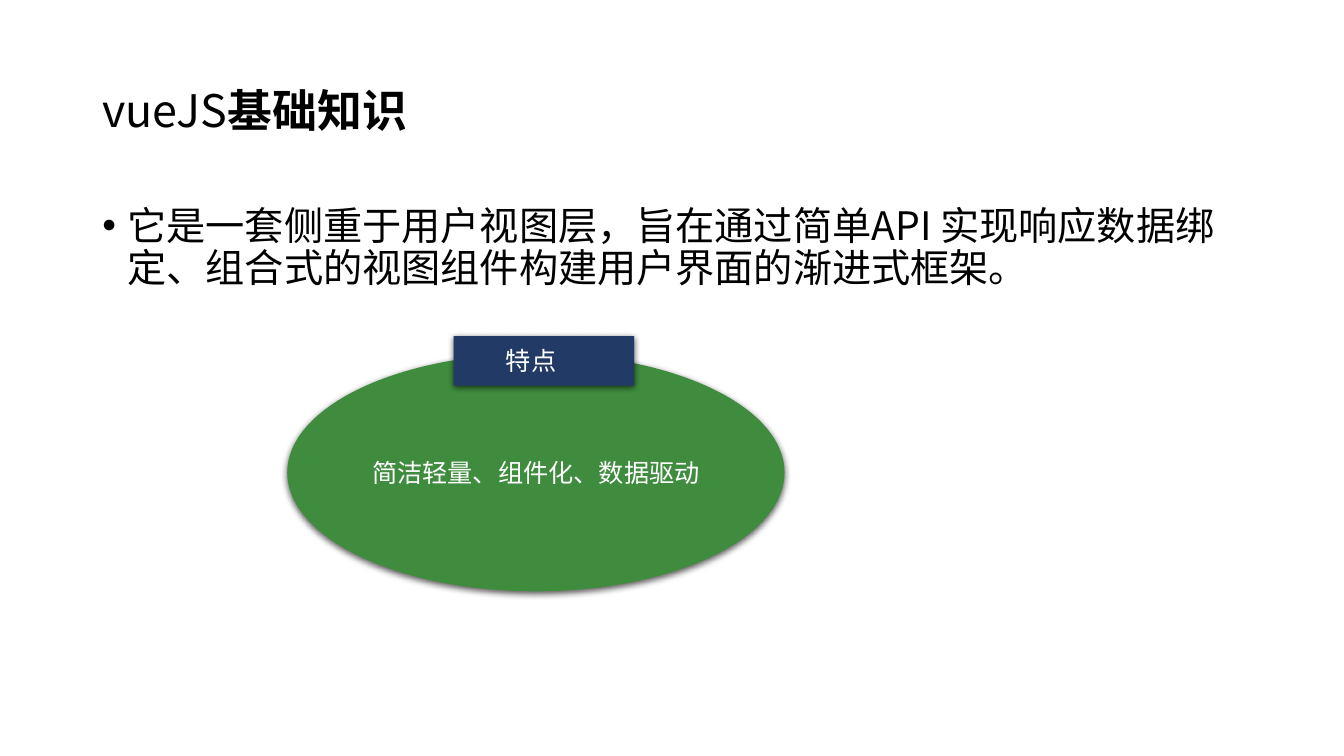
from lxml.etree import SubElement
from pptx import Presentation
from pptx.dml.color import RGBColor
from pptx.enum.shapes import MSO_SHAPE
from pptx.enum.text import MSO_ANCHOR, PP_ALIGN
from pptx.oxml.ns import qn
from pptx.util import Inches, Pt

THEME = {
    "font": "Noto Sans CJK SC",
    "ink": "000000", "paper": "FFFFFF", "green": "3F8C3E", "navy": "213A66",
    "title": 32, "body": 28, "label": 18,
}

prs = Presentation()
prs.slide_width, prs.slide_height = Inches(13.33), Inches(7.5)
s = prs.slides.add_slide(prs.slide_layouts[6])
COL, ROW = prs.slide_width / 160, prs.slide_height / 90


def grid(col, row, cols, rows):
    return int(col * COL), int(row * ROW), int(cols * COL), int(rows * ROW)


def add_run(p, text, size, color, bold=False):
    r = p.add_run()
    r.text = text
    r.font.size = Pt(THEME[size])
    r.font.bold = bold
    r.font.color.rgb = RGBColor.from_string(THEME[color])
    r.font.name = THEME["font"]
    SubElement(r.font._element, qn("a:ea"), typeface=THEME["font"])


title = s.shapes.add_textbox(*grid(11, 4.8, 138, 17.4))
tf = title.text_frame
tf.word_wrap = True
tf.vertical_anchor = MSO_ANCHOR.MIDDLE
p = tf.paragraphs[0]
p.line_spacing = 0.9
add_run(p, "vueJS", "title", "ink")
add_run(p, "基础知识", "title", "ink", bold=True)

body = s.shapes.add_textbox(*grid(11, 24, 138, 57.1))
tf = body.text_frame
tf.word_wrap = True
p = tf.paragraphs[0]
p.line_spacing = 0.9
pPr = p._p.get_or_add_pPr()
pPr.set("marL", str(Inches(0.25)))
pPr.set("indent", str(-Inches(0.25)))
SubElement(pPr, qn("a:buFont"), typeface="Arial")
SubElement(pPr, qn("a:buChar"), char="•")
add_run(p, "它是一套侧重于用户视图层，旨在通过简单API 实现响应数据绑定、组合式的视图组件构建用户界面的渐进式框架。", "body", "ink")

features = [
    (MSO_SHAPE.OVAL, (34.2, 42.1, 59.2, 28.3), "green", "简洁轻量、组件化、数据驱动", 0.1),
    (MSO_SHAPE.RECTANGLE, (54, 40, 21.5, 5.9), "navy", "特点", 0.35),
]
for kind, place, fill, text, right in features:
    sp = s.shapes.add_shape(kind, *grid(*place))
    sp.fill.solid()
    sp.fill.fore_color.rgb = RGBColor.from_string(THEME[fill])
    sp.line.fill.background()
    sp.shadow.inherit = False
    effects = sp._element.spPr.find(qn("a:effectLst"))
    shadow = SubElement(effects, qn("a:outerShdw"), blurRad=str(Pt(4.5)),
                        dist=str(Pt(1.5)), dir="5400000", algn="ctr", rotWithShape="0")
    tint = SubElement(shadow, qn("a:srgbClr"), val=THEME["ink"])
    SubElement(tint, qn("a:alpha"), val="63000")
    tf = sp.text_frame
    tf.word_wrap = True
    tf.margin_right = Inches(right)
    tf.vertical_anchor = MSO_ANCHOR.MIDDLE
    p = tf.paragraphs[0]
    p.alignment = PP_ALIGN.CENTER
    add_run(p, text, "label", "paper")

prs.save("out.pptx")
